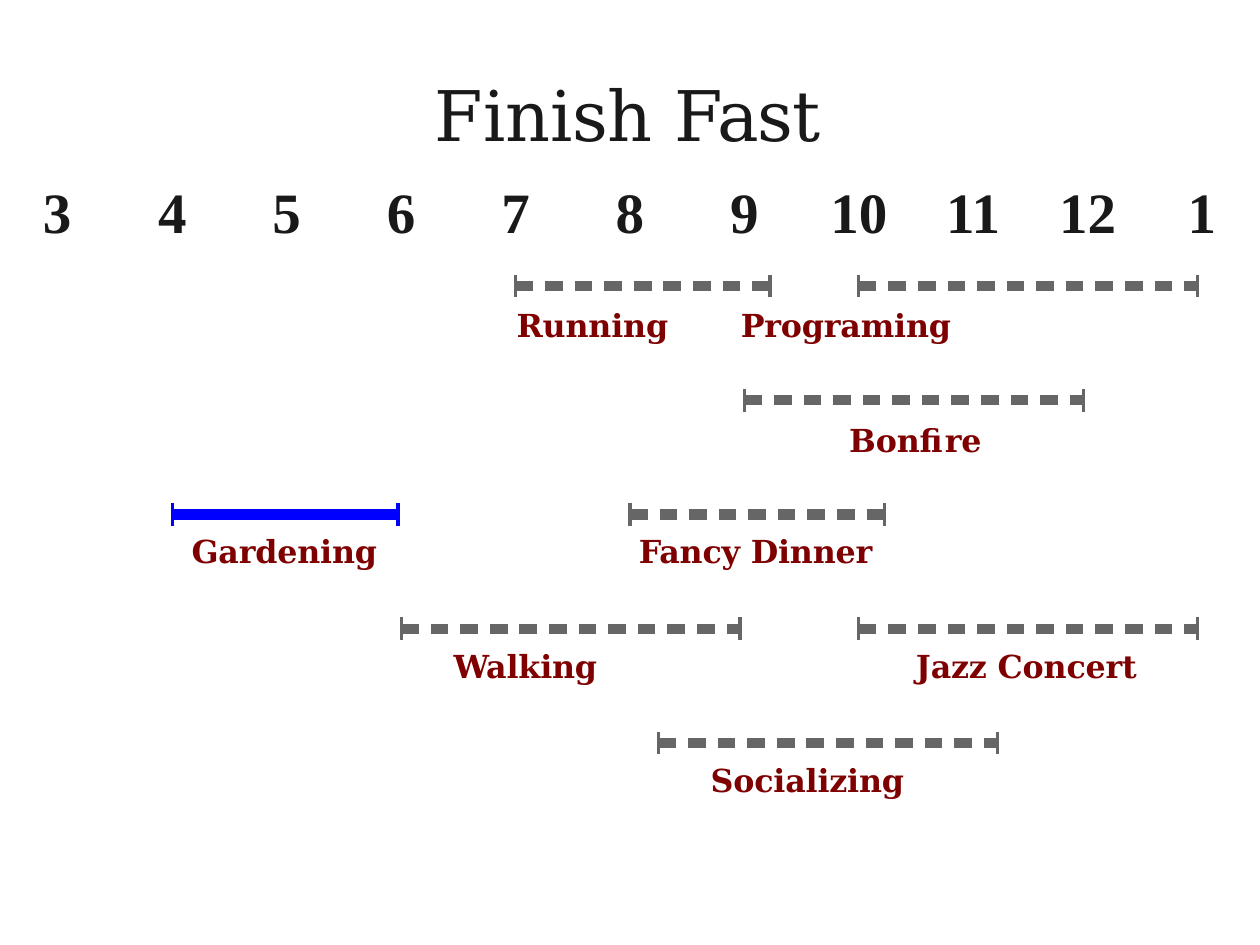
import pptx
import pptx.dml.color
import pptx.enum.shapes
import pptx.enum.text
import pptx.oxml.ns
import pptx.util
from lxml import etree

Inches = pptx.util.Inches
INK = pptx.dml.color.RGBColor(0x19, 0x19, 0x19)
MAROON = pptx.dml.color.RGBColor(0x7F, 0x00, 0x00)
GREY = pptx.dml.color.RGBColor(0x66, 0x66, 0x66)
BLUE = pptx.dml.color.RGBColor(0x00, 0x00, 0xFF)

FIRST_HOUR, FIRST_HOUR_X, HOUR_STEP = 3, 0.46, 0.908
FIRST_ROW_Y, ROW_STEP = 2.27, 0.907
CAP_HALF = 0.09
DASH, DASHES_PER_INCH = 0.14, 4.26
AXIS_LEFT = 0.34

# name, row, start hour, bar length, label left, label width, label drop, chosen
ACTIVITIES = [
    ("Running", 0, 7, 2.02, 4.1, 1.3, 0.14, False),
    ("Programing", 0, 10, 2.69, 5.88, 1.8, 0.14, False),
    ("Bonfire", 1, 9, 2.69, 6.74, 1.2, 0.14, False),
    ("Gardening", 2, 4, 1.79, 1.52, 1.51, 0.12, True),
    ("Fancy Dinner", 2, 8, 2.02, 5.07, 1.9, 0.12, False),
    ("Walking", 3, 6, 2.69, 3.6, 1.88, 0.12, False),
    ("Jazz Concert", 3, 10, 2.69, 7.27, 1.8, 0.12, False),
    ("Socializing", 4, 8.25, 2.69, 5.64, 1.89, 0.12, False),
]


def write_text(box, pieces, font, size, color, bold):
    """Fill the box with runs; each piece is a text and its letter spacing."""
    frame = box.text_frame
    frame.word_wrap = True
    frame.vertical_anchor = pptx.enum.text.MSO_ANCHOR.TOP
    frame.margin_left = frame.margin_right = frame.margin_bottom = 0
    frame.margin_top = Inches(0.02)
    para = frame.paragraphs[0]
    para.alignment = pptx.enum.text.PP_ALIGN.LEFT
    for text, spacing in pieces:
        span = para.add_run()
        span.text = text
        span.font.name = font
        span.font.size = pptx.util.Pt(size)
        span.font.bold = bold
        span.font.color.rgb = color
        span._r.get_or_add_rPr().set("spc", str(round(spacing * 100)))
    return para


def draw_line(page, x1, y1, x2, y2, color, width):
    line = page.shapes.add_connector(
        pptx.enum.shapes.MSO_CONNECTOR.STRAIGHT,
        Inches(x1), Inches(y1), Inches(x2), Inches(y2))
    line.line.color.rgb = color
    line.line.width = pptx.util.Pt(width)
    etree.SubElement(line._element.spPr, pptx.oxml.ns.qn("a:effectLst"))


deck = pptx.Presentation()
deck.slide_width, deck.slide_height = Inches(10), Inches(7.5)
page = deck.slides.add_slide(deck.slide_layouts[5])

title = page.shapes.title
title.left, title.top = Inches(3.45), Inches(0.55)
title.width, title.height = Inches(3.12), Inches(0.68)
write_text(title, [("Finish ", -0.1), ("Fast", -0.7)],
           "DejaVu Serif", 39.9, INK, False)

# Hour axis: each number is centred on its hour by a tab stop
hours = ["3", "4", "5", "6", "7", "8", "9", "10", "11", "12", "1"]
axis = page.shapes.add_textbox(
    Inches(AXIS_LEFT), Inches(1.38), Inches(9.6), Inches(0.56))
para = write_text(axis, [("\t".join(hours), 0)],
                  "Times New Roman", 32.6, INK, True)
tab_list = etree.SubElement(
    para._p.get_or_add_pPr(), pptx.oxml.ns.qn("a:tabLst"))
for step in range(1, len(hours)):
    tab = etree.SubElement(tab_list, pptx.oxml.ns.qn("a:tab"))
    tab.set("pos", str(Inches(FIRST_HOUR_X + step * HOUR_STEP - AXIS_LEFT)))
    tab.set("algn", "ctr")

for name, row, hour, length, left, width, drop, chosen in ACTIVITIES:
    start = FIRST_HOUR_X + (hour - FIRST_HOUR) * HOUR_STEP
    end = start + length
    y = FIRST_ROW_Y + row * ROW_STEP
    color = BLUE if chosen else GREY
    if chosen:
        draw_line(page, start, y, end, y, color, 5.8)
    else:
        for index in range(int(length * DASHES_PER_INCH) + 1):
            x = start + index / DASHES_PER_INCH
            draw_line(page, x, y, min(x + DASH, end), y, color, 5.8)
    for x in (start, end):
        draw_line(page, x, y - CAP_HALF, x, y + CAP_HALF, color, 1.9)
    label = page.shapes.add_textbox(
        Inches(left), Inches(y + drop), Inches(width), Inches(0.32))
    write_text(label, [(name, -0.1)], "DejaVu Serif", 18.1, MAROON, True)

deck.save("out.pptx")
